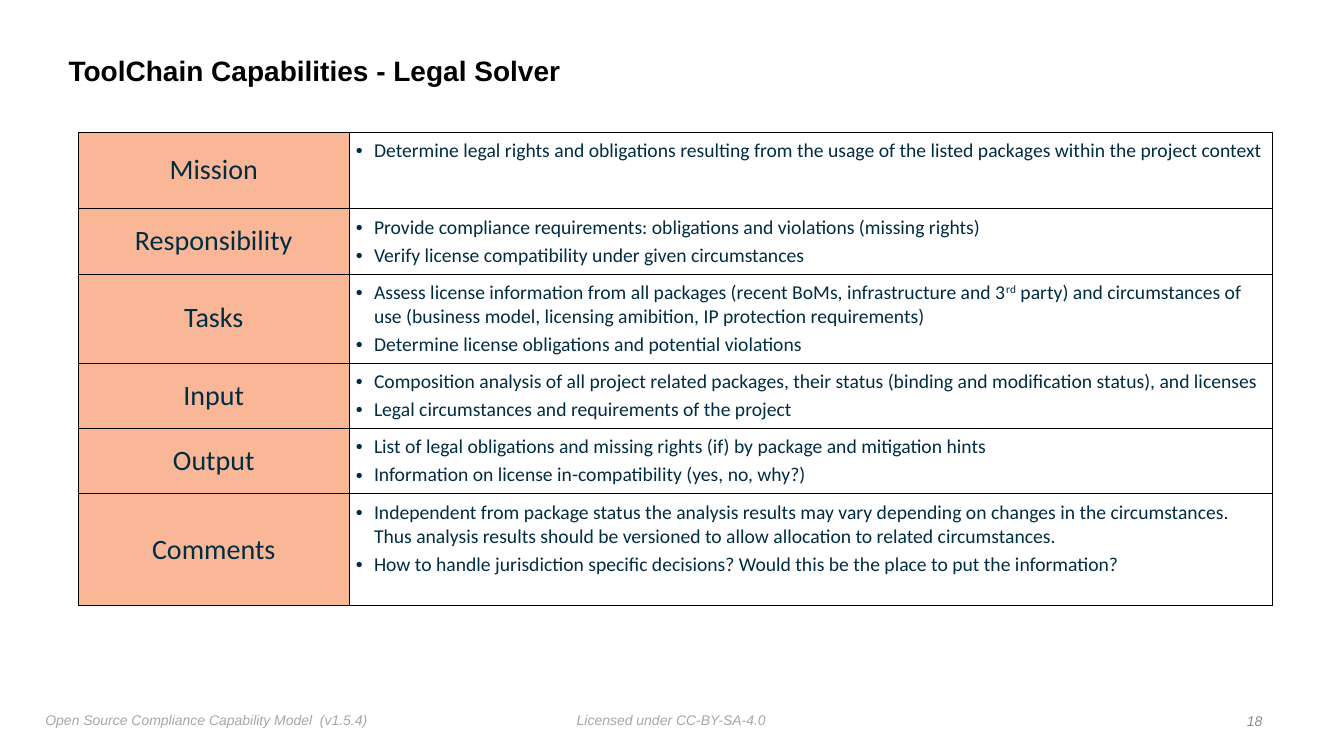
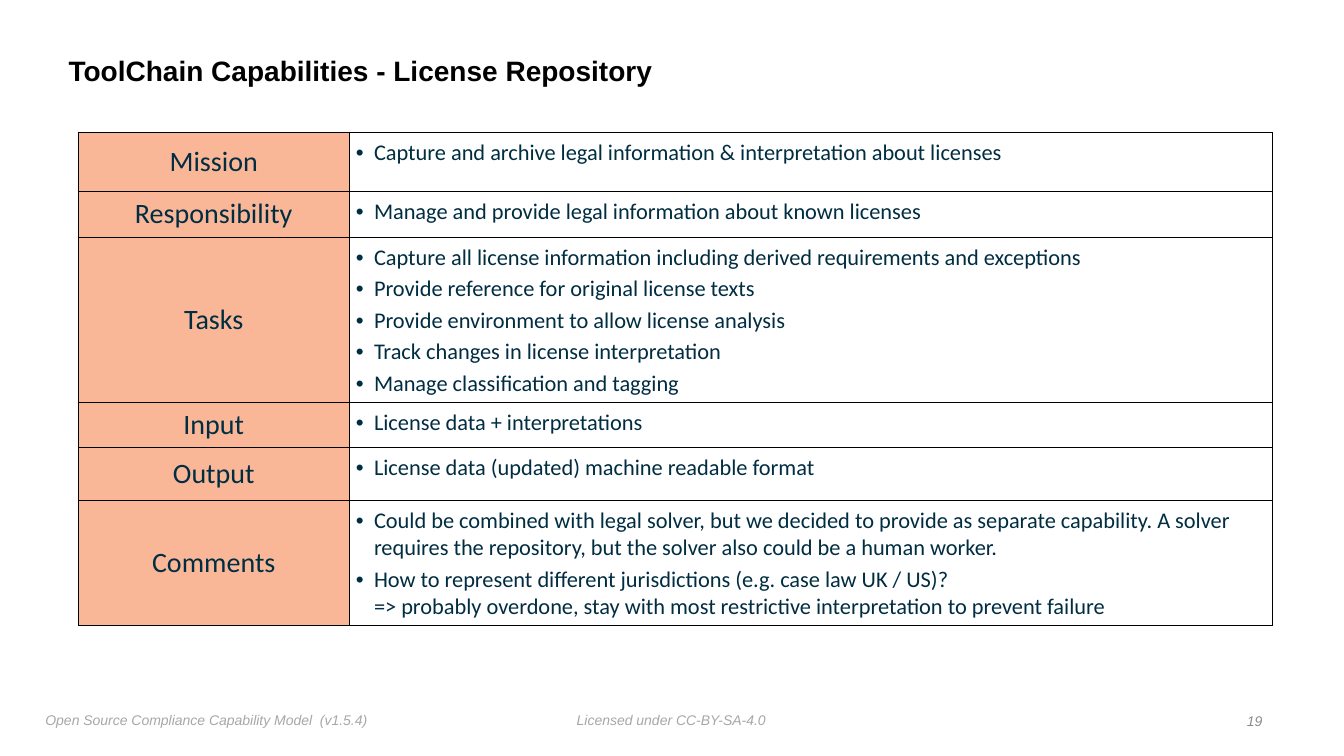
"""Builds two capability table slides of the compliance tool chain."""
import pptx
import pptx.dml.color
import pptx.enum.text
import pptx.oxml
import pptx.oxml.ns
import pptx.util
from dataclasses import dataclass

PX = 9144
Align = pptx.enum.text.PP_ALIGN
Anchor = pptx.enum.text.MSO_ANCHOR
Fit = pptx.enum.text.MSO_AUTO_SIZE


@dataclass(frozen=True)
class Theme:
    heading_font: str = "Arial"
    table_font: str = "Calibri"
    title_color: str = "000000"
    table_color: str = "002D41"
    label_fill: str = "FAB798"
    border_color: str = "000000"
    footer_color: str = "A7A7A7"
    number_color: str = "888C91"
    title_size: int = 20
    label_size: int = 20
    footer_size: int = 10
    border_width: float = 0.5
    bullet_gap: int = 3


THEME = Theme()
SLIDE_SIZE = (1333, 750)
TITLE_BOX = (63, 39, 1075, 65)
TABLE_CORNER = (78, 131)
COLUMNS = (268, 916)
CELL_INSET = 7
TEXT_INSET = 5
BULLET_INDENT = 18
LABELS = ("Mission", "Responsibility", "Tasks", "Input", "Output", "Comments")
FOOTERS = (
    ("Licensed under CC-BY-SA-4.0", (567, 701, 199, 25)),
    ("Open Source Compliance Capability Model  (v1.5.4)", (40, 701, 332, 27)),
)
NUMBER_BOX = (1230, 703, 27, 25)
SUPERSCRIPT = "^"

SLIDES = (
    {
        "title": "ToolChain Capabilities - Legal Solver",
        "number": 18,
        "size": 14,
        "heights": (76, 45, 45, 45, 45, 111),
        "bullets": (
            ["Determine legal rights and obligations resulting from the usage of the listed packages within the project context"],
            ["Provide compliance requirements: obligations and violations (missing rights)",
             "Verify license compatibility under given circumstances"],
            ["Assess license information from all packages (recent BoMs, infrastructure and 3^rd^ party) and circumstances of use (business model, licensing amibition, IP protection requirements)",
             "Determine license obligations and potential violations"],
            ["Composition analysis of all project related packages, their status (binding and modification status), and licenses",
             "Legal circumstances and requirements of the project"],
            ["List of legal obligations and missing rights (if) by package and mitigation hints",
             "Information on license in-compatibility (yes, no, why?)"],
            ["Independent from package status the analysis results may vary depending on changes in the circumstances. Thus analysis results should be versioned to allow allocation to related circumstances.",
             "How to handle jurisdiction specific decisions? Would this be the place to put the information?"],
        ),
    },
    {
        "title": "ToolChain Capabilities - License Repository",
        "number": 19,
        "size": 16,
        "heights": (59, 45, 45, 45, 52, 111),
        "bullets": (
            ["Capture and archive legal information & interpretation about licenses"],
            ["Manage and provide legal information about known licenses"],
            ["Capture all license information including derived requirements and exceptions",
             "Provide reference for original license texts",
             "Provide environment to allow license analysis",
             "Track changes in license interpretation",
             "Manage classification and tagging"],
            ["License data + interpretations"],
            ["License data (updated) machine readable format"],
            ["Could be combined with legal solver, but we decided to provide as separate capability. A solver requires the repository, but the solver also could be a human worker.",
             "How to represent different jurisdictions (e.g. case law UK / US)?\n=> probably overdone, stay with most restrictive interpretation to prevent failure"],
        ),
    },
)


def emu(lengths):
    return [length * PX for length in lengths]


def set_font(font, name, size, color, bold=False, italic=False):
    font.name = name
    font.size = pptx.util.Pt(size)
    font.color.rgb = pptx.dml.color.RGBColor.from_string(color)
    font.bold = bold
    font.italic = italic


def set_insets(owner, inset):
    for side in ("left", "top", "right", "bottom"):
        setattr(owner, f"margin_{side}", inset * PX)


def add_title(page, text):
    title = page.shapes.title
    title.left, title.top, title.width, title.height = emu(TITLE_BOX)
    frame = title.text_frame
    frame.text = text
    frame.auto_size = Fit.NONE
    frame.vertical_anchor = Anchor.MIDDLE
    set_insets(frame, TEXT_INSET)
    para = frame.paragraphs[0]
    para.alignment = Align.LEFT
    para.line_spacing = 0.9
    set_font(para.font, THEME.heading_font, THEME.title_size, THEME.title_color, bold=True)


def add_small_text(page, text, place, color, align=Align.LEFT, anchor=Anchor.TOP):
    frame = page.shapes.add_textbox(*emu(place)).text_frame
    frame.text = text
    frame.word_wrap = False
    frame.auto_size = Fit.SHAPE_TO_FIT_TEXT
    frame.vertical_anchor = anchor
    set_insets(frame, TEXT_INSET)
    para = frame.paragraphs[0]
    para.alignment = align
    set_font(para.font, THEME.heading_font, THEME.footer_size, color, italic=True)


def add_borders(cell):
    properties = cell._tc.get_or_add_tcPr()
    width = pptx.util.Pt(THEME.border_width)
    for side in "LRTB":
        properties.append(pptx.oxml.parse_xml(
            f'<a:ln{side} {pptx.oxml.ns.nsdecls("a")} w="{width}"><a:solidFill>'
            f'<a:srgbClr val="{THEME.border_color}"/></a:solidFill></a:ln{side}>'))


def fill_label(cell, text):
    cell.text = text
    cell.vertical_anchor = Anchor.MIDDLE
    set_insets(cell, 0)
    cell.fill.solid()
    cell.fill.fore_color.rgb = pptx.dml.color.RGBColor.from_string(THEME.label_fill)
    para = cell.text_frame.paragraphs[0]
    para.alignment = Align.CENTER
    set_font(para.font, THEME.table_font, THEME.label_size, THEME.table_color)


def write_bullet(para, text, size):
    properties = para._p.get_or_add_pPr()
    properties.set("marL", str(BULLET_INDENT * PX))
    properties.set("indent", str(-BULLET_INDENT * PX))
    for tag in ('buFont typeface="Arial"', 'buChar char="•"'):
        name, attribute = tag.split()
        properties.append(pptx.oxml.parse_xml(
            f'<a:{name} {pptx.oxml.ns.nsdecls("a")} {attribute}/>'))
    para.space_before = pptx.util.Pt(THEME.bullet_gap)
    set_font(para.font, THEME.table_font, size, THEME.table_color)
    for line_index, line in enumerate(text.split("\n")):
        if line_index:
            para.add_line_break()
        for part_index, part in enumerate(line.split(SUPERSCRIPT)):
            span = para.add_run()
            span.text = part
            if part_index % 2:
                span._r.get_or_add_rPr().set("baseline", "30000")


def fill_bullets(cell, bullets, size):
    set_insets(cell, CELL_INSET)
    cell.fill.background()
    frame = cell.text_frame
    for index, text in enumerate(bullets):
        para = frame.add_paragraph() if index else frame.paragraphs[0]
        write_bullet(para, text, size)


def add_capability_table(page, content):
    heights = content["heights"]
    place = emu((*TABLE_CORNER, sum(COLUMNS), sum(heights)))
    table = page.shapes.add_table(len(LABELS), len(COLUMNS), *place).table
    table.first_row = table.horz_banding = False
    for column, width in zip(table.columns, emu(COLUMNS)):
        column.width = width
    for row, height, label, bullets in zip(table.rows, emu(heights), LABELS, content["bullets"]):
        row.height = height
        for cell in row.cells:
            add_borders(cell)
        fill_label(row.cells[0], label)
        fill_bullets(row.cells[1], bullets, content["size"])


def main():
    deck = pptx.Presentation()
    deck.slide_width, deck.slide_height = emu(SLIDE_SIZE)
    for content in SLIDES:
        page = deck.slides.add_slide(deck.slide_layouts[5])
        for text, place in FOOTERS:
            add_small_text(page, text, place, THEME.footer_color)
        add_title(page, content["title"])
        add_capability_table(page, content)
        add_small_text(page, str(content["number"]), NUMBER_BOX, THEME.number_color,
                       Align.RIGHT, Anchor.MIDDLE)
    deck.save("out.pptx")


if __name__ == "__main__":
    main()
